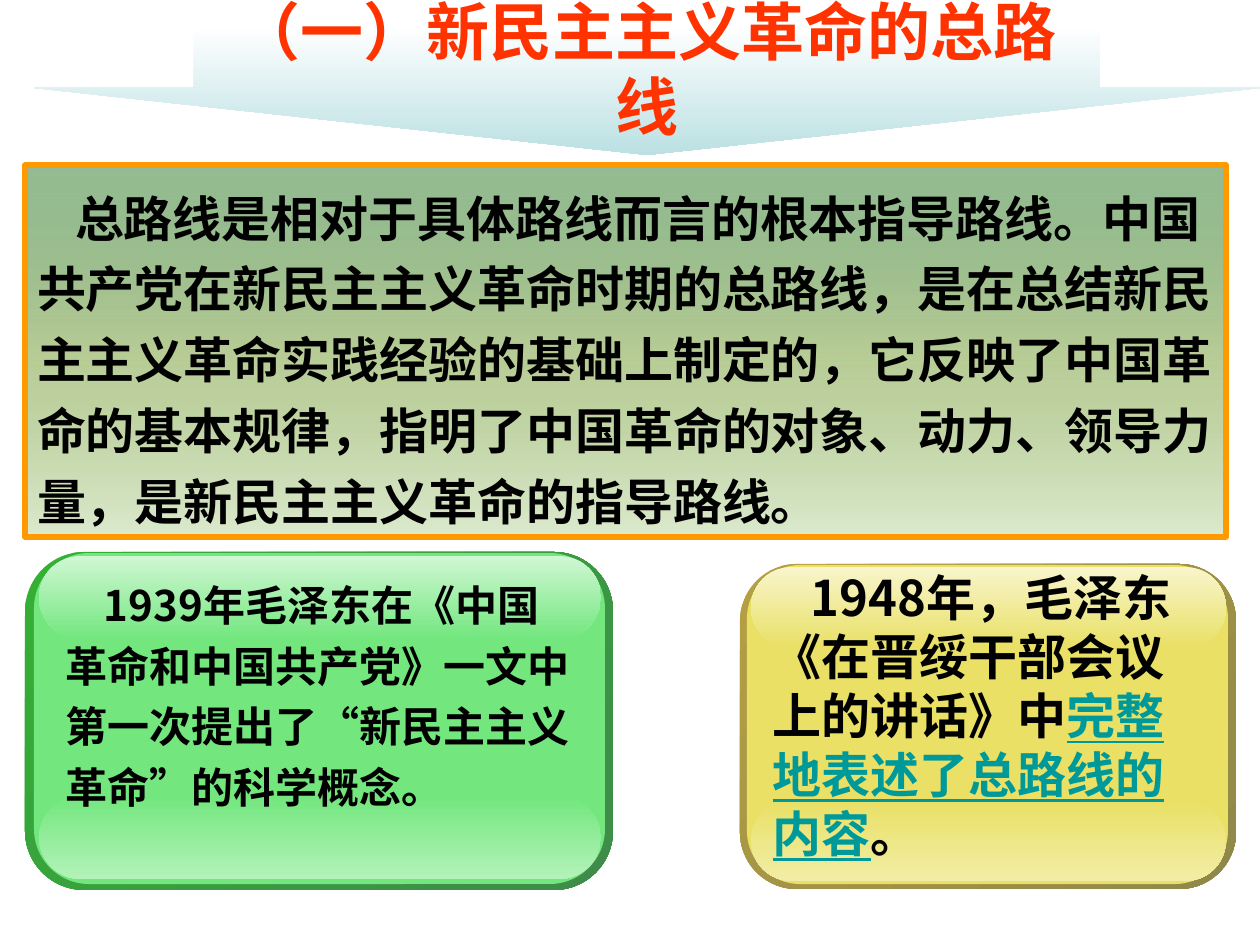
from lxml.etree import SubElement
from pptx import Presentation
from pptx.dml.color import RGBColor
from pptx.enum.shapes import MSO_SHAPE
from pptx.enum.text import MSO_ANCHOR, PP_ALIGN
from pptx.oxml.ns import qn
from pptx.util import Emu, Pt

SCALE = 914400 / 126
FACE = "Noto Sans CJK SC"


def px(n):
    return Emu(round(n * SCALE))


def color(code):
    return RGBColor.from_string(code)


class Deck:
    """Holds the text style and the current slide."""

    def __init__(self, wide, high):
        self.prs = Presentation()
        self.prs.slide_width, self.prs.slide_height = px(wide), px(high)
        self.slide = self.prs.slides.add_slide(self.prs.slide_layouts[5])

    def style(self, run, size, code, face=FACE):
        font = run.font
        font.name, font.size, font.bold = face, Pt(size), True
        font.color.rgb = color(code)
        SubElement(run._r.get_or_add_rPr(), qn("a:ea"), typeface=FACE)

    def blend(self, shape, stops, angle):
        """Fill with (percent, colour, opacity) stops, angle clockwise."""
        shape.fill.gradient()
        shape.fill.gradient_angle = 360 - angle
        stop_list = shape.element.spPr.find(qn("a:gradFill")).find(qn("a:gsLst"))
        for old in list(stop_list):
            stop_list.remove(old)
        for place, code, alpha in stops:
            stop = SubElement(stop_list, qn("a:gs"), pos=str(place * 1000))
            tint = SubElement(stop, qn("a:srgbClr"), val=code)
            if alpha < 100:
                SubElement(tint, qn("a:alpha"), val=str(alpha * 1000))

    def shape(self, kind, box, fill, angle=90, adjust=(), home=None):
        """Add a shape; fill is one colour or a list of gradient stops."""
        home = home or self.slide
        item = home.shapes.add_shape(kind, *map(px, box))
        item.shadow.inherit = False
        item.line.fill.background()
        for i, value in enumerate(adjust):
            item.adjustments[i] = value
        if isinstance(fill, str):
            item.fill.solid()
            item.fill.fore_color.rgb = color(fill)
        else:
            self.blend(item, fill, angle)
        return item

    def title(self, text, box):
        item = self.slide.shapes.title
        item.left, item.top, item.width, item.height = map(px, box)
        frame = item.text_frame
        frame.text = text
        frame.word_wrap = False
        frame.vertical_anchor = MSO_ANCHOR.MIDDLE
        para = frame.paragraphs[0]
        para.alignment = PP_ALIGN.CENTER
        self.style(para.runs[0], 36, "FF3300", "Arial")
        self.slide.shapes.element.append(item.element)

    def prose(self, item, parts, size, pitch):
        """Fill a shape with (text, colour, underline) runs; pitch in points."""
        frame = item.text_frame
        frame.word_wrap = True
        frame.vertical_anchor = MSO_ANCHOR.TOP
        frame.margin_left = frame.margin_right = px(12)
        frame.margin_top, frame.margin_bottom = px(11), px(6)
        para = frame.paragraphs[0]
        para.alignment = PP_ALIGN.LEFT
        para.line_spacing = Pt(pitch)
        para._p.get_or_add_pPr().set("indent", str(px(38)))
        for text, code, under in parts:
            run = para.add_run()
            run.text = text
            self.style(run, size, code)
            if under:
                run.font.underline = True

    def panel(self, rim, face, glow, low, rims, base, tints, box):
        """Add a glossy rounded panel and return its text box."""
        group = self.slide.shapes.add_group_shape()
        kind = MSO_SHAPE.ROUNDED_RECTANGLE
        left, top, width, high = glow
        dark, pale = tints
        ends = [(0, rims[0], 100), (100, rims[1], 100)]
        self.shape(kind, rim, ends, 45, [0.175], group)
        self.shape(kind, face, base, 90, [0.167], group)
        for y, start, end in ((low, base, dark), (top, pale, base)):
            ends = [(0, start, 100), (100, end, 100)]
            self.shape(kind, (left, y, width, high), ends, 90, [0.5], group)
        return group.shapes.add_textbox(*map(px, box))


def main():
    deck = Deck(1260, 945)
    intro = deck.shape(
        MSO_SHAPE.RECTANGLE, (25, 165, 1201, 372),
        [(0, "156B13", 45), (50, "9CB86E", 72), (100, "DDEBCF", 100)])
    intro.line.color.rgb = color("FF9900")
    intro.line.width = Pt(3)
    deck.prose(intro, [(
        "总路线是相对于具体路线而言的根本指导路线。中国共产党在新民主主义革命时期的总路线，"
        "是在总结新民主主义革命实践经验的基础上制定的，它反映了中国革命的基本规律，"
        "指明了中国革命的对象、动力、领导力量，是新民主主义革命的指导路线。",
        "000000", False)], 28, 40.5)

    green = deck.panel(
        (25, 552, 588, 338), (34, 553, 571, 331), (39, 556, 562, 83), 796,
        ("34B034", "3F8B4A"), "73E77E", ("B3F2B9", "D0F7D4"),
        (54, 559, 529, 249))
    deck.prose(green, [(
        "1939年毛泽东在《中国革命和中国共产党》一文中第一次提出了“新民主主义革命”的科学概念。",
        "000000", False)], 24, 34.5)

    deck.shape(MSO_SHAPE.DOWN_ARROW, (34, 26, 1226, 129),
               [(0, "FFFFFF", 100), (100, "BBE0E3", 100)],
               adjust=[0.739, 0.519])
    deck.title("（一）新民主主义革命的总路线", (194, 26, 906, 84))

    gold = deck.panel(
        (740, 564, 496, 325), (747, 565, 481, 319), (751, 567, 475, 81), 800,
        ("B59F43", "8F8849"), "E9E065", ("F2EDA6", "F8F5CC"),
        (761, 557, 452, 307))
    deck.prose(gold, [
        ("1948年，毛泽东《在晋绥干部会议上的讲话》中", "000000", False),
        ("完整地表述了总路线的内容", "009999", True),
        ("。", "000000", False)], 28, 33.6)

    deck.prs.save("out.pptx")


if __name__ == "__main__":
    main()
